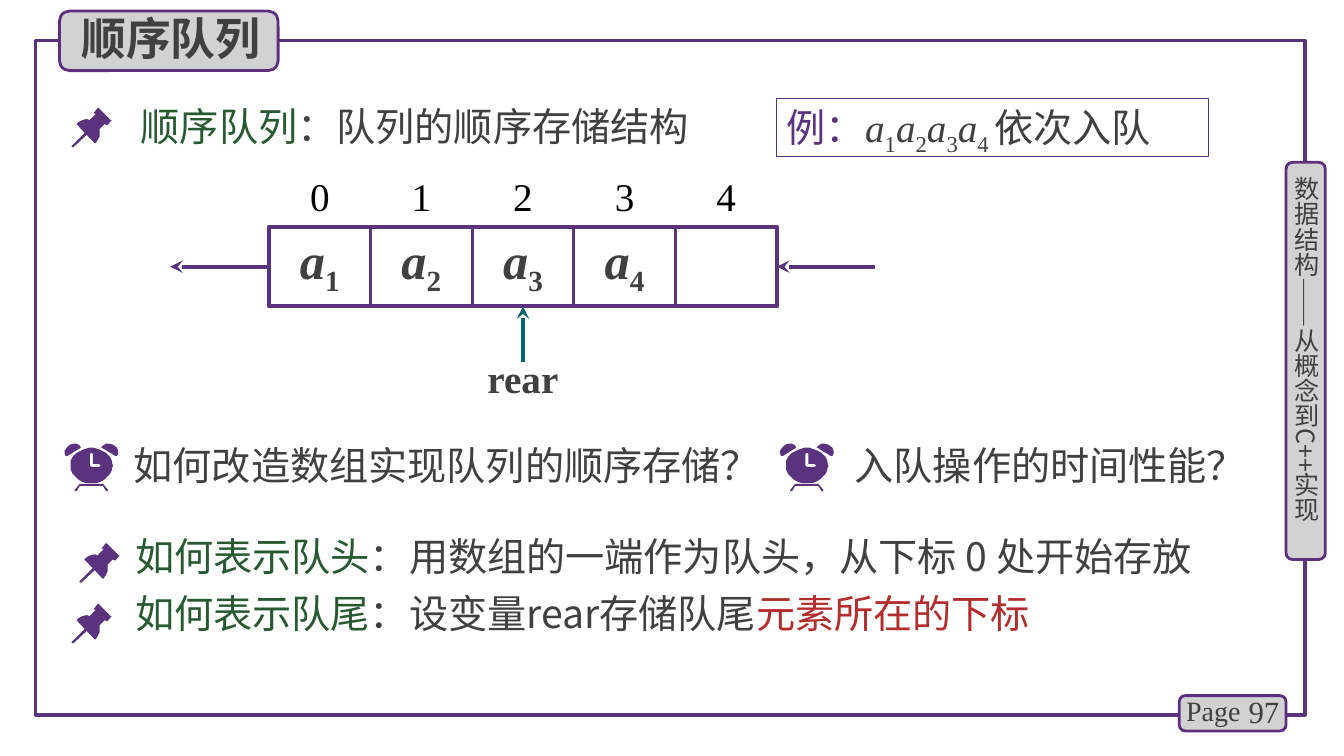
from math import cos, pi, sin

from lxml.etree import SubElement
from pptx import Presentation
from pptx.dml.color import RGBColor
from pptx.enum.shapes import MSO_CONNECTOR, MSO_SHAPE
from pptx.enum.text import MSO_ANCHOR, MSO_AUTO_SIZE, PP_ALIGN
from pptx.oxml.ns import qn
from pptx.util import Cm, Pt

PURPLE, BADGE_LINE, BADGE_FILL = "5A327D", "5C307D", "D2D2D2"
GRAY, GREEN, RED, TEAL, BLACK = "404040", "285A32", "B42D2D", "006666", "000000"
SANS, SERIF = "Noto Sans CJK SC", "Times New Roman"

ICON_UNIT = Cm(0.0254)
PIN_HEAD = [(39, 12), (27, 0), (26, 0), (23, 4), (22, 5), (24, 6), (18, 12), (15, 11),
            (11, 11.5), (7, 13.5), (5, 15.5), (5, 16), (23, 35), (24, 35), (26, 32.5),
            (28.5, 28), (28, 21), (33, 16), (35, 17), (36, 17), (39, 13), (40, 12)]
PIN_NEEDLE = [(2, 39), (1, 39), (0.5, 37.5), (14, 24), (15.5, 24), (15.5, 26)]
PIN = [[PIN_HEAD], [PIN_NEEDLE]]
CLOCK_LEGS = [(43, 46), (39, 41), (38, 40), (15, 40), (14, 41), (10, 46), (10.5, 47),
              (12, 47), (15, 42), (38, 42), (41, 47), (43, 47)]
CLOCK_BELL = [(9, 0), (5, 1), (1.5, 3.5), (0, 7), (0.3, 9.5), (1, 12), (2, 12.3),
              (3, 12), (16, 4.5), (16.5, 3.5), (15, 2), (12, 0.5)]
CLOCK_FACE = [(26.5 + 21 * cos(pi * step / 24), 21.7 + 17.5 * sin(pi * step / 24))
              for step in range(48)]
CLOCK_HANDS = [(25.2, 10), (26.7, 9), (28.3, 10), (28.3, 20), (34, 20), (35.7, 21.7),
               (34, 23.2), (27, 23.2), (25.2, 22)]
CLOCK = [[CLOCK_LEGS], [CLOCK_BELL], [[(53 - x, y) for x, y in CLOCK_BELL]],
         [CLOCK_FACE, CLOCK_HANDS]]


def rgb(code):
    return RGBColor.from_string(code)


def add_run(paragraph, text, size=28, color=GRAY, font=SANS, bold=False, italic=False,
            baseline=0):
    run = paragraph.add_run()
    run.text = text
    run.font.size = Pt(size)
    run.font.bold = bold
    run.font.italic = italic
    run.font.color.rgb = rgb(color)
    run.font.name = font
    properties = run.font._element
    SubElement(properties, qn("a:ea")).set("typeface", SANS)
    if baseline:
        properties.set("baseline", str(baseline * 1000))


def fill_frame(frame, *runs, align=PP_ALIGN.LEFT, anchor=MSO_ANCHOR.TOP, **style):
    """Write runs, given as strings or (string, style) pairs, in the first paragraph."""
    frame.word_wrap = True
    frame.auto_size = MSO_AUTO_SIZE.SHAPE_TO_FIT_TEXT
    frame.vertical_anchor = anchor
    paragraph = frame.paragraphs[0]
    paragraph.alignment = align
    for run in runs:
        text, own_style = (run, {}) if isinstance(run, str) else run
        add_run(paragraph, text, **{**style, **own_style})


def add_label(slide, box, *runs, **style):
    label = slide.shapes.add_textbox(*map(Cm, box))
    fill_frame(label.text_frame, *runs, **style)
    return label


def place(slide, placeholder, box):
    """Move a placeholder to its box, in front of everything drawn so far."""
    placeholder.left, placeholder.top, placeholder.width, placeholder.height = map(Cm, box)
    slide.shapes.element.append(placeholder.element)


def add_box(slide, box, kind=MSO_SHAPE.RECTANGLE, fill=None, line=PURPLE, width=2.25):
    shape = slide.shapes.add_shape(kind, *map(Cm, box))
    shape.shadow.inherit = False
    if fill:
        shape.fill.solid()
        shape.fill.fore_color.rgb = rgb(fill)
    else:
        shape.fill.background()
    shape.line.color.rgb = rgb(line)
    shape.line.width = Pt(width)
    return shape


def add_badge(slide, box):
    add_box(slide, box, MSO_SHAPE.ROUNDED_RECTANGLE, BADGE_FILL, BADGE_LINE, 2)


def add_line(slide, start, end, color=PURPLE, width=3.0, arrow=False):
    line = slide.shapes.add_connector(MSO_CONNECTOR.STRAIGHT, *map(Cm, start + end))
    line.line.color.rgb = rgb(color)
    line.line.width = Pt(width)
    if arrow:
        SubElement(line.line._get_or_add_ln(), qn("a:tailEnd")).set("type", "stealth")
    SubElement(line._element.spPr, qn("a:effectLst"))
    return line


def add_icon(slide, parts, left, top):
    """Group the parts of an icon; further contours of a part are cut out of it."""
    icon = slide.shapes.add_group_shape()
    for outline, *holes in parts:
        builder = icon.shapes.build_freeform(*outline[0], scale=ICON_UNIT)
        builder.add_line_segments(outline[1:], close=True)
        for hole in holes:
            builder.move_to(*hole[0])
            builder.add_line_segments(hole[1:], close=True)
        shape = builder.convert_to_shape(Cm(left), Cm(top))
        shape.shadow.inherit = False
        shape.fill.solid()
        shape.fill.fore_color.rgb = rgb(PURPLE)
        shape.line.fill.background()


def add_page_frame(slide):
    add_box(slide, (0.89, 1.02, 32.0, 17.0))
    add_badge(slide, (29.72, 17.53, 2.69, 0.89))
    add_label(slide, (30.99, 17.42, 1.5, 1.02), "97", size=22, font=SERIF,
              align=PP_ALIGN.RIGHT, anchor=MSO_ANCHOR.MIDDLE)
    add_label(slide, (29.64, 17.35, 1.98, 1.12), "Page", size=20, font=SERIF)
    add_badge(slide, (32.41, 4.09, 0.99, 10.01))
    course = add_label(slide, (32.54, 4.45, 0.76, 9.6), "数据结构——从概念到C++实现",
                       size=18)
    frame = course.text_frame
    frame.margin_left = frame.margin_right = frame.margin_top = frame.margin_bottom = 0
    frame._txBody.bodyPr.set("vert", "eaVert")


def add_title(slide):
    add_badge(slide, (1.5, 0.28, 5.51, 1.5))
    title = slide.shapes.title
    place(slide, title, (1.68, 0.13, 5.26, 1.63))
    fill_frame(title.text_frame, "顺序队列", size=32, bold=True, align=PP_ALIGN.CENTER)


def add_queue(slide):
    left, top, width, height, cells = 6.78, 5.72, 12.8, 2.0, 5
    cell = width / cells
    middle, bottom, right = top + height / 2, top + height, left + width
    array = add_box(slide, (left, top, width, height), width=3)
    for index in range(cells):
        x = left + index * cell
        add_label(slide, (x, 4.22, cell, 1.45), str(index), font=SERIF, color=BLACK,
                  align=PP_ALIGN.CENTER)
        if index:
            add_line(slide, (x, top), (x, bottom), width=2.25)
        if index < cells - 1:
            add_label(slide, (x, 5.64, cell, 1.78), ("a", {"italic": True}),
                      (str(index + 1), {"baseline": -25}), size=36, font=SERIF,
                      bold=True, align=PP_ALIGN.CENTER)
    enqueue = add_line(slide, (22.05, middle), (right, middle), arrow=True)
    enqueue.end_connect(array, 3)
    dequeue = add_line(slide, (left, middle), (4.29, middle), arrow=True)
    dequeue.begin_connect(array, 1)
    center = left + width / 2
    rear = add_line(slide, (center, 9.12), (center, bottom), TEAL, arrow=True)
    rear.end_connect(array, 2)
    add_label(slide, (center - 1.44, 8.81, 2.88, 1.45), "rear", font=SERIF, bold=True,
              align=PP_ALIGN.CENTER)


def add_example(slide):
    example = add_box(slide, (19.58, 2.49, 10.87, 1.45), width=0.75)
    elements = [part for number in ("1", "2", "3", "4 ")
                for part in (("a", {"italic": True}), (number, {"baseline": -25}))]
    fill_frame(example.text_frame, ("例：", {"color": PURPLE}), *elements, "依次入队",
               font=SERIF)


def add_answers(slide):
    answers = slide.placeholders[1]
    place(slide, answers, (3.15, 13.28, 28.7, 3.12))
    frame = answers.text_frame
    fill_frame(frame, ("如何表示队头", {"color": GREEN}),
               "：用数组的一端作为队头，从下标 0 处开始存放")
    rear_answer = frame.add_paragraph()
    add_run(rear_answer, "如何表示队尾", color=GREEN)
    add_run(rear_answer, "：设变量rear存储队尾")
    add_run(rear_answer, "元素所在的下标", color=RED)
    for paragraph, gap in zip(frame.paragraphs, (0, 7)):
        paragraph.space_before = Pt(gap)
        properties = paragraph._p.get_or_add_pPr()
        properties.set("marL", "0")
        properties.set("indent", "0")
        SubElement(properties, qn("a:buNone"))
    add_icon(slide, PIN, 2.0, 13.69)
    add_icon(slide, PIN, 1.8, 15.22)


def main():
    presentation = Presentation()
    presentation.slide_width, presentation.slide_height = Cm(33.87), Cm(19.05)
    slide = presentation.slides.add_slide(presentation.slide_layouts[1])
    add_page_frame(slide)
    add_title(slide)
    add_icon(slide, PIN, 1.8, 2.72)
    add_label(slide, (3.3, 2.46, 15.04, 1.45), ("顺序队列", {"color": GREEN}),
              "：队列的顺序存储结构")
    add_example(slide)
    add_queue(slide)
    add_icon(slide, CLOCK, 1.63, 11.18)
    add_label(slide, (3.12, 11.0, 16.5, 1.45), "如何改造数组实现队列的顺序存储？")
    add_icon(slide, CLOCK, 19.66, 11.18)
    add_label(slide, (21.29, 11.0, 10.54, 1.45), "入队操作的时间性能？")
    add_answers(slide)
    presentation.save("out.pptx")


if __name__ == "__main__":
    main()
